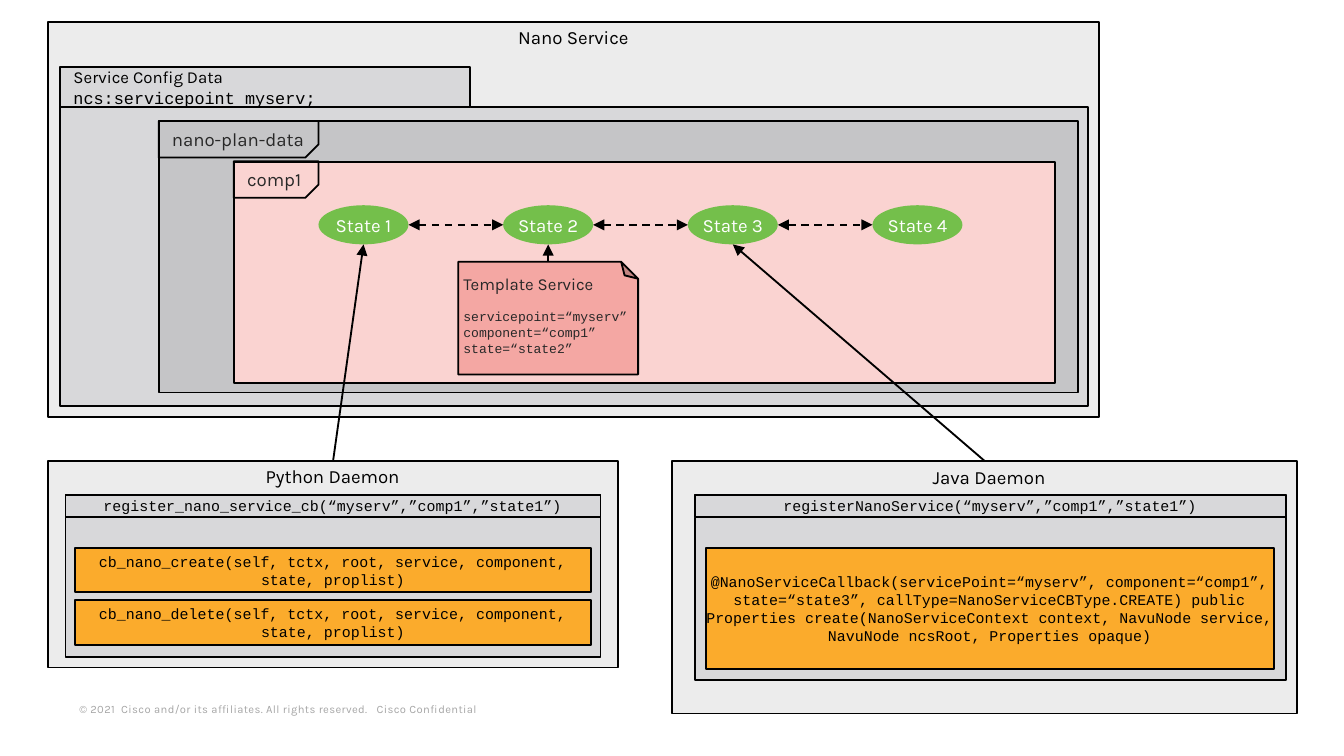
import pptx
import pptx.dml.color
import pptx.enum.dml
import pptx.enum.shapes
import pptx.enum.text
import pptx.oxml
import pptx.oxml.ns
import pptx.util

Cm, Pt = pptx.util.Cm, pptx.util.Pt
RGBColor = pptx.dml.color.RGBColor
PRESET = pptx.enum.shapes.MSO_SHAPE
ALIGN = pptx.enum.text.PP_ALIGN
ANCHOR = pptx.enum.text.MSO_ANCHOR

BLACK = RGBColor(0x00, 0x00, 0x00)
WHITE = RGBColor(0xFF, 0xFF, 0xFF)
INK = RGBColor(0x28, 0x28, 0x28)
FOOTER_GRAY = RGBColor(0xA6, 0xA6, 0xA6)
PALE_GRAY = RGBColor(0xEC, 0xEC, 0xEC)
LIGHT_GRAY = RGBColor(0xD8, 0xD8, 0xDA)
MID_GRAY = RGBColor(0xC5, 0xC5, 0xC7)
ORANGE = RGBColor(0xFB, 0xAB, 0x2C)
PINK = RGBColor(0xFA, 0xD3, 0xD1)
ROSE = RGBColor(0xF4, 0xA7, 0xA3)
GREEN = RGBColor(0x74, 0xBF, 0x4B)

SANS, MONO = "Karla", "Courier New"


def place(left, top, width, height):
    return Cm(left), Cm(top), Cm(width), Cm(height)


def add_xml(parent, tag, attributes=""):
    parent.append(pptx.oxml.parse_xml(
        f'<a:{tag} {pptx.oxml.ns.nsdecls("a")} {attributes}/>'))


def write(shape, lines, align=ALIGN.CENTER, anchor=ANCHOR.MIDDLE, inset=None, wrap=True):
    """Fill a shape with lines given as (text, font, size, colour)."""
    frame = shape.text_frame
    frame.word_wrap = wrap
    frame.vertical_anchor = anchor
    if inset is not None:
        frame.margin_left = frame.margin_right = Cm(inset[0])
        frame.margin_top = frame.margin_bottom = Cm(inset[1])
    frame.text = "\n".join(line[0] for line in lines)
    for paragraph, (_, font, size, colour) in zip(frame.paragraphs, lines):
        paragraph.alignment = align
        for run in paragraph.runs:
            run.font.name = font
            run.font.size = Pt(size)
            run.font.color.rgb = colour


def add_box(slide, area, fill, preset=PRESET.RECTANGLE, outlined=True):
    box = slide.shapes.add_shape(preset, *place(*area))
    box.shadow.inherit = False
    if fill is None:
        box.fill.background()
    else:
        box.fill.solid()
        box.fill.fore_color.rgb = fill
    if outlined:
        box.line.color.rgb = BLACK
        box.line.width = Pt(1)
    else:
        box.line.fill.background()
    return box


def flip_upside_down(shape, corner):
    """Mirror a shape vertically and set the size of its cut or folded corner."""
    properties = shape.element.spPr
    properties.get_or_add_xfrm().set("flipV", "1")
    guides = properties.find(".//" + pptx.oxml.ns.qn("a:avLst"))
    for guide in list(guides):
        guides.remove(guide)
    add_xml(guides, "gd", f'name="adj" fmla="val {round(corner * 100000)}"')


def add_label(slide, area, lines, **layout):
    label = slide.shapes.add_textbox(*place(*area))
    write(label, lines, **layout)
    return label


def add_code_box(slide, area, fill, code):
    box = add_box(slide, area, fill)
    write(box, [(code, MONO, 8, BLACK)], inset=(0, 0))


def add_tag(slide, left, top, width, name):
    """Name tag with a snipped lower right corner."""
    area = (left, top, width, 0.69)
    flip_upside_down(add_box(slide, area, None, PRESET.SNIP_1_RECTANGLE), 0.36)
    add_label(slide, area, [(name, SANS, 10, INK)],
              align=ALIGN.LEFT, anchor=ANCHOR.TOP, wrap=False)


def add_state(slide, left, top, name):
    state = add_box(slide, (left, top, 1.7, 0.74), GREEN, PRESET.OVAL, outlined=False)
    write(state, [(name, SANS, 10, WHITE)], inset=(0, 0))
    return state


def add_arrow(slide, start, end, both_ways=False):
    arrow = slide.shapes.add_connector(pptx.enum.shapes.MSO_CONNECTOR.STRAIGHT, *start, *end)
    arrow.line.color.rgb = BLACK
    arrow.line.width = Pt(1)
    if both_ways:
        arrow.line.dash_style = pptx.enum.dml.MSO_LINE.DASH
    properties = arrow.element.spPr
    line = properties.find(pptx.oxml.ns.qn("a:ln"))
    for tip in ("headEnd", "tailEnd") if both_ways else ("tailEnd",):
        add_xml(line, tip, 'type="triangle"')
    add_xml(properties, "effectLst")
    return arrow


def top_middle(shape):
    return shape.left + shape.width // 2, shape.top


def bottom_middle(shape):
    return shape.left + shape.width // 2, shape.top + shape.height


def add_daemon(slide, name, title_area, daemon_area, panel_area, registration, callbacks):
    daemon = add_box(slide, daemon_area, PALE_GRAY)
    add_box(slide, panel_area, LIGHT_GRAY)
    add_code_box(slide, (*panel_area[:3], 0.43), LIGHT_GRAY, registration)
    for area, code in callbacks:
        add_code_box(slide, area, ORANGE, code)
    add_label(slide, title_area, [(name, SANS, 10, BLACK)])
    return daemon


def add_service(slide):
    """Nested containers of the nano service."""
    add_box(slide, (0.91, 0.41, 19.86, 7.47), PALE_GRAY)
    add_label(slide, (8.89, 0.43, 3.89, 0.53), [("Nano Service", SANS, 10, BLACK)])
    add_box(slide, (1.14, 2.03, 19.43, 5.64), LIGHT_GRAY)
    config = add_box(slide, (1.14, 1.27, 7.75, 0.76), LIGHT_GRAY)
    write(config, [("Service Config Data", SANS, 9, BLACK),
                   ("ncs:servicepoint myserv;", MONO, 9, BLACK)], align=ALIGN.LEFT)
    add_box(slide, (3, 2.29, 17.37, 5.13), MID_GRAY)
    add_box(slide, (4.42, 3.07, 15.52, 4.17), PINK)
    add_tag(slide, 3, 2.29, 3.02, "nano-plan-data")
    add_tag(slide, 4.42, 3.05, 1.6, "comp1")


def add_template_note(slide):
    note = add_box(slide, (8.66, 4.95, 3.4, 2.13), ROSE, PRESET.FOLDED_CORNER)
    flip_upside_down(note, 0.15)
    settings = ["servicepoint=“myserv”", "component=“comp1”", "state=“state2”"]
    label = add_label(
        slide, (8.51, 5.05, 3.68, 1.83),
        [("Template Service", SANS, 9, INK)] + [(text, MONO, 7, INK) for text in settings],
        align=ALIGN.LEFT, anchor=ANCHOR.TOP)
    label.text_frame.paragraphs[1].space_before = Pt(8)
    return note


def add_footer(slide):
    footer = add_label(
        slide, (1.32, 13.18, 9.45, 0.43),
        [("© 2021  Cisco and/or its affiliates. All rights reserved.   Cisco Confidential",
          SANS, 6, FOOTER_GRAY)],
        align=ALIGN.LEFT, anchor=ANCHOR.BOTTOM, inset=(0.18, 0.08))
    footer.element.find(".//" + pptx.oxml.ns.qn("a:rPr")).set("spc", "20")


def main():
    deck = pptx.Presentation()
    deck.slide_width, deck.slide_height = Cm(25.4), Cm(14.29)
    slide = deck.slides.add_slide(deck.slide_layouts[6])

    add_footer(slide)
    add_service(slide)

    # Daemons with their registered callbacks
    python_daemon = add_daemon(
        slide, "Python Daemon", (4.34, 8.74, 3.89, 0.53),
        (0.91, 8.71, 10.77, 3.91), (1.24, 9.35, 10.11, 3.07),
        "register_nano_service_cb(“myserv”,”comp1”,”state1”)",
        [((1.42, 10.36 + 0.99 * row, 9.75, 0.84),
          f"cb_nano_{action}(self, tctx, root, service, component, state, proplist)")
         for row, action in enumerate(("create", "delete"))])
    java_daemon = add_daemon(
        slide, "Java Daemon", (16.71, 8.76, 3.96, 0.53),
        (12.7, 8.71, 11.81, 4.78), (13.13, 9.35, 11.18, 3.51),
        "registerNanoService(“myserv”,”comp1”,”state1”)",
        [((13.34, 10.36, 10.74, 2.29),
          "@NanoServiceCallback(servicePoint=“myserv”, component=“comp1”, "
          "state=“state3”, callType=NanoServiceCBType.CREATE) public "
          "Properties create(NanoServiceContext context, NavuNode service, "
          "NavuNode ncsRoot, Properties opaque)")])

    # States in a row, linked both ways
    states = [add_state(slide, 6.02 + 3.49 * i, 3.88, f"State {i + 1}") for i in range(4)]
    for state, following in zip(states, states[1:]):
        middle = state.top + state.height // 2
        add_arrow(slide, (state.left + state.width, middle), (following.left, middle),
                  both_ways=True)

    # Implementations pointing at their states
    note = add_template_note(slide)
    add_arrow(slide, top_middle(note), bottom_middle(states[1]))
    for daemon, state in ((python_daemon, states[0]), (java_daemon, states[2])):
        arrow = add_arrow(slide, top_middle(daemon), bottom_middle(state))
        arrow.begin_connect(daemon, 0)

    deck.save("out.pptx")


if __name__ == "__main__":
    main()
